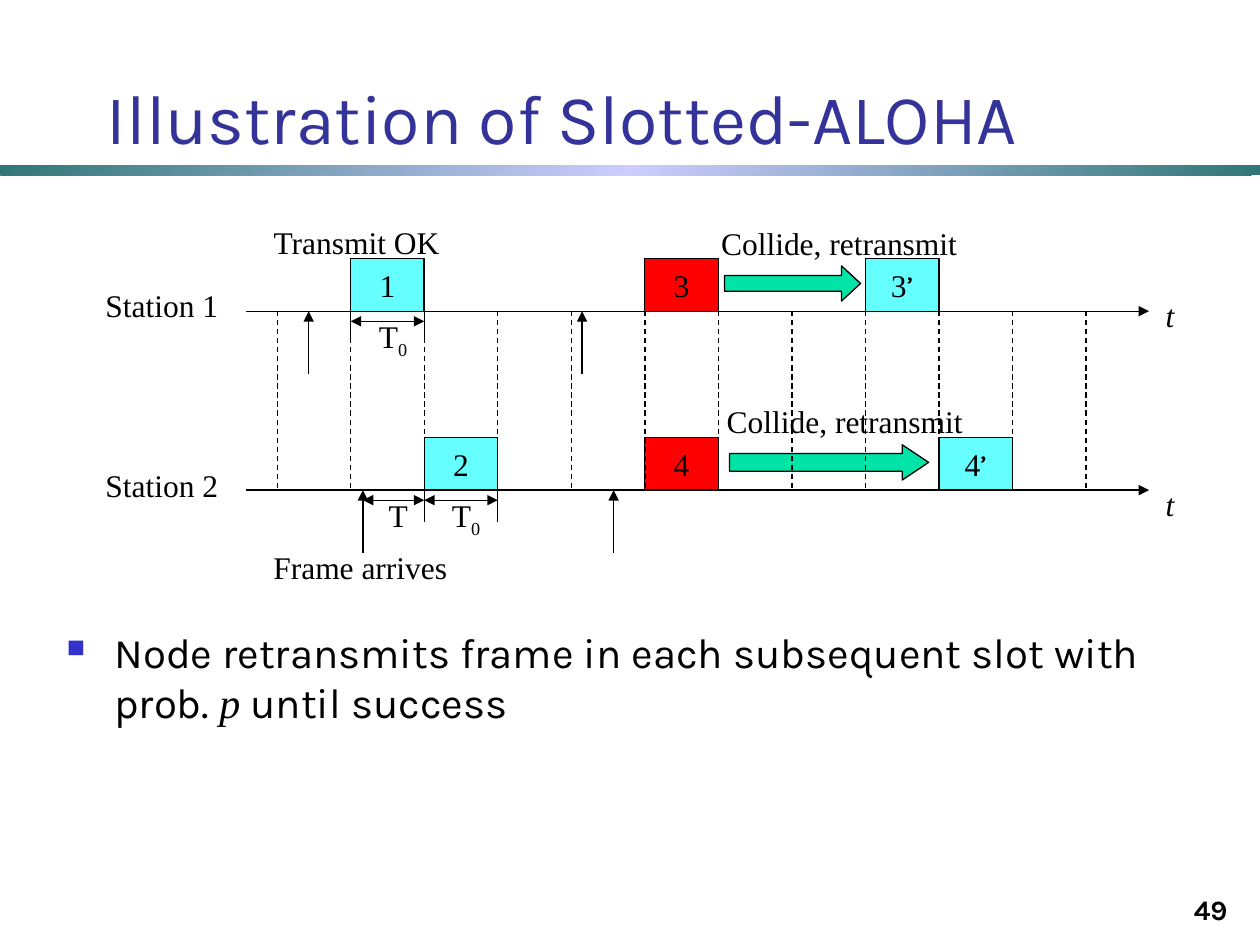
from copy import deepcopy
from dataclasses import dataclass

from lxml.etree import SubElement
from pptx import Presentation
from pptx.dml.color import RGBColor
from pptx.enum.dml import MSO_LINE
from pptx.enum.shapes import MSO_CONNECTOR, MSO_SHAPE
from pptx.enum.text import MSO_ANCHOR, PP_ALIGN
from pptx.oxml.ns import qn
from pptx.util import Inches, Pt


@dataclass(frozen=True)
class Theme:
    sans: str = "Karla"
    serif: str = "Times New Roman"
    black: str = "000000"
    title: str = "333399"
    bullet: str = "3333CC"
    success: str = "66FFFF"
    collision: str = "FF0000"
    retry: str = "00E4A8"
    band: tuple = ((0, "2F7676"), (0.5, "CCCCFF"), (1, "2F7676"))
    title_size: int = 40
    body_size: int = 24
    label_size: int = 18
    number_size: int = 16
    line_width: float = 0.75


THEME = Theme()

# Content: a text is a list of (words, style) spans
PLAIN, ITALIC, SUB, PRIME = {}, {"italic": True}, {"sub": True}, {"font": THEME.sans}
TITLE = [("Illustration of Slotted-ALOHA", PLAIN)]
BODY = [
    ("Node retransmits frame in each subsequent slot with prob. ", PLAIN),
    ("p", {"font": THEME.serif, "italic": True}),
    (" until success", PLAIN),
]
PAGE_NUMBER = [("49", PLAIN)]
SLOT_TIME = [("T", PLAIN), ("0", SUB)]

# Time grid
FIRST_SLOT, LAST_SLOT, SLOTS = 2.2, 8.62, 11
PITCH = (LAST_SLOT - FIRST_SLOT) / SLOTS
AXES = (2.47, 3.89)
AXIS_START, AXIS_END = 1.95, 9.12
FRAME_HEIGHT, TICK, ARRIVAL, SPAN_DROP = 0.42, 0.25, 0.5, 0.08

FRAMES = [  # station, slot, colour, text
    (0, 1, THEME.success, [("1", PLAIN)]),
    (1, 2, THEME.success, [("2", PLAIN)]),
    (0, 5, THEME.collision, [("3", PLAIN)]),
    (1, 5, THEME.collision, [("4", PLAIN)]),
    (0, 8, THEME.success, [("3", PLAIN), ("’", PRIME)]),
    (1, 9, THEME.success, [("4", PLAIN), ("’", PRIME)]),
]
RETRIES = [  # left, top, width, adjustments
    (5.75, 2.11, 1.08, (0.447, 0.541)),
    (5.79, 3.53, 1.58, (0.497, 0.748)),
]
LABELS = [  # left, top, width, text
    (0.7, 2.22, 1.17, [("Station 1", PLAIN)]),
    (0.7, 3.65, 1.17, [("Station 2", PLAIN)]),
    (2.04, 1.72, 1.58, [("Transmit OK", PLAIN)]),
    (5.45, 1.73, 2.42, [("Collide, retransmit", PLAIN)]),
    (5.29, 3.14, 2.83, [("Collide, retransmit", PLAIN)]),
    (9.12, 2.3, 0.33, [("t", ITALIC)]),
    (9.12, 3.8, 0.33, [("t", ITALIC)]),
    (2.87, 2.47, 0.5, SLOT_TIME),
    (3.45, 3.89, 0.5, SLOT_TIME),
    (2.95, 3.89, 0.42, [("T", PLAIN)]),
    (2.07, 4.3, 1.58, [("Frame arrives", PLAIN)]),
]
ARRIVALS = [(0, 2.45), (0, 4.62), (1, 2.88), (1, 4.87)]  # station, time
TRANSMISSIONS = [(0, 1), (1, 2)]  # station, slot measured as T0

deck = Presentation()
deck.slide_width, deck.slide_height = Inches(10), Inches(7.5)
page = deck.slides.add_slide(deck.slide_layouts[6])


def color(value):
    return RGBColor.from_string(value)


def slot_left(slot):
    return FIRST_SLOT + slot * PITCH


def write(shape, spans, size=THEME.label_size, font=THEME.serif, ink=THEME.black,
          align=PP_ALIGN.CENTER, anchor=MSO_ANCHOR.TOP, bold=False, bullet=False):
    frame = shape.text_frame
    frame.word_wrap = True
    frame.vertical_anchor = anchor
    para = frame.paragraphs[0]
    para.alignment = align
    if bullet:
        add_bullet(para)
    para.font.size, para.font.name = Pt(size), font
    para.font.bold, para.font.color.rgb = bold, color(ink)
    for words, style in spans:
        span = para.add_run()
        span.text = words
        if "font" in style:
            span.font.name = style["font"]
        if "italic" in style:
            span.font.italic = True
        if "sub" in style:
            span._r.get_or_add_rPr().set("baseline", "-25000")


def add_bullet(para):
    props = para._p.get_or_add_pPr()
    props.set("marL", str(Inches(0.38)))
    props.set("indent", str(-Inches(0.38)))
    SubElement(SubElement(props, qn("a:buClr")), qn("a:srgbClr")).set("val", THEME.bullet)
    SubElement(props, qn("a:buSzPct")).set("val", "60000")
    SubElement(props, qn("a:buChar")).set("char", "■")


def add_text(left, top, width, height, spans, **style):
    box = page.shapes.add_textbox(*map(Inches, (left, top, width, height)))
    write(box, spans, **style)


def add_block(kind, left, top, width, height, fill=None):
    block = page.shapes.add_shape(kind, *map(Inches, (left, top, width, height)))
    block.shadow.inherit = False
    if fill:
        block.fill.solid()
        block.fill.fore_color.rgb = color(fill)
        block.line.color.rgb = color(THEME.black)
        block.line.width = Pt(THEME.line_width)
    return block


def add_line(x1, y1, x2, y2, head=False, tail=False, dashed=False):
    line = page.shapes.add_connector(MSO_CONNECTOR.STRAIGHT, *map(Inches, (x1, y1, x2, y2)))
    line.line.color.rgb = color(THEME.black)
    line.line.width = Pt(THEME.line_width)
    if dashed:
        line.line.dash_style = MSO_LINE.DASH
    props = line._element.spPr
    for tag, wanted in (("a:headEnd", head), ("a:tailEnd", tail)):
        if wanted:
            SubElement(props.find(qn("a:ln")), qn(tag)).set("type", "triangle")
    SubElement(props, qn("a:effectLst"))


# Title band with a three-stop gradient
band = add_block(MSO_SHAPE.RECTANGLE, 0, 1.31, 10, 0.08)
band.line.fill.background()
band.fill.gradient()
band.fill.gradient_angle = 315
stops = band._element.spPr.find(qn("a:gradFill")).find(qn("a:gsLst"))
stops.insert(1, deepcopy(stops[0]))
for stop, (position, shade) in zip(band.fill.gradient_stops, THEME.band):
    stop.position, stop.color.rgb = position, color(shade)

# Title, body and page number
add_text(0.75, 0.36, 9.25, 0.95, TITLE, size=THEME.title_size, font=THEME.sans,
         ink=THEME.title, align=PP_ALIGN.LEFT, anchor=MSO_ANCHOR.BOTTOM)
add_text(0.43, 4.92, 9.37, 1.02, BODY, size=THEME.body_size, font=THEME.sans,
         align=PP_ALIGN.LEFT, bullet=True)
add_text(7.76, 6.9, 2.08, 0.5, PAGE_NUMBER, size=THEME.number_size, font=THEME.sans,
         align=PP_ALIGN.RIGHT, anchor=MSO_ANCHOR.BOTTOM, bold=True)

# Time axes, frames and retransmission arrows
for axis in AXES:
    add_line(AXIS_START, axis, AXIS_END, axis, tail=True)
for station, slot, fill, spans in FRAMES:
    block = add_block(MSO_SHAPE.RECTANGLE, slot_left(slot), AXES[station] - FRAME_HEIGHT,
                      PITCH, FRAME_HEIGHT, fill)
    write(block, spans, anchor=MSO_ANCHOR.MIDDLE)
for left, top, width, adjustments in RETRIES:
    arrow = add_block(MSO_SHAPE.RIGHT_ARROW, left, top, width, 0.28, THEME.retry)
    arrow.adjustments[0], arrow.adjustments[1] = adjustments

# Labels
for left, top, width, spans in LABELS:
    add_text(left, top, width, 0.4, spans)

# Slot boundaries
for slot in range(SLOTS + 1):
    add_line(slot_left(slot), AXES[0], slot_left(slot), AXES[1], dashed=True)

# Transmission spans, waiting span and frame arrivals
for station, slot in TRANSMISSIONS:
    axis, start, end = AXES[station], slot_left(slot), slot_left(slot + 1)
    add_line(start, axis + SPAN_DROP, end, axis + SPAN_DROP, head=True, tail=True)
    for edge in (start, end):
        add_line(edge, axis, edge, axis + TICK)
add_line(2.88, AXES[1] + SPAN_DROP, slot_left(2), AXES[1] + SPAN_DROP, head=True, tail=True)
for station, time in ARRIVALS:
    add_line(time, AXES[station] + ARRIVAL, time, AXES[station], tail=True)

deck.save("out.pptx")
